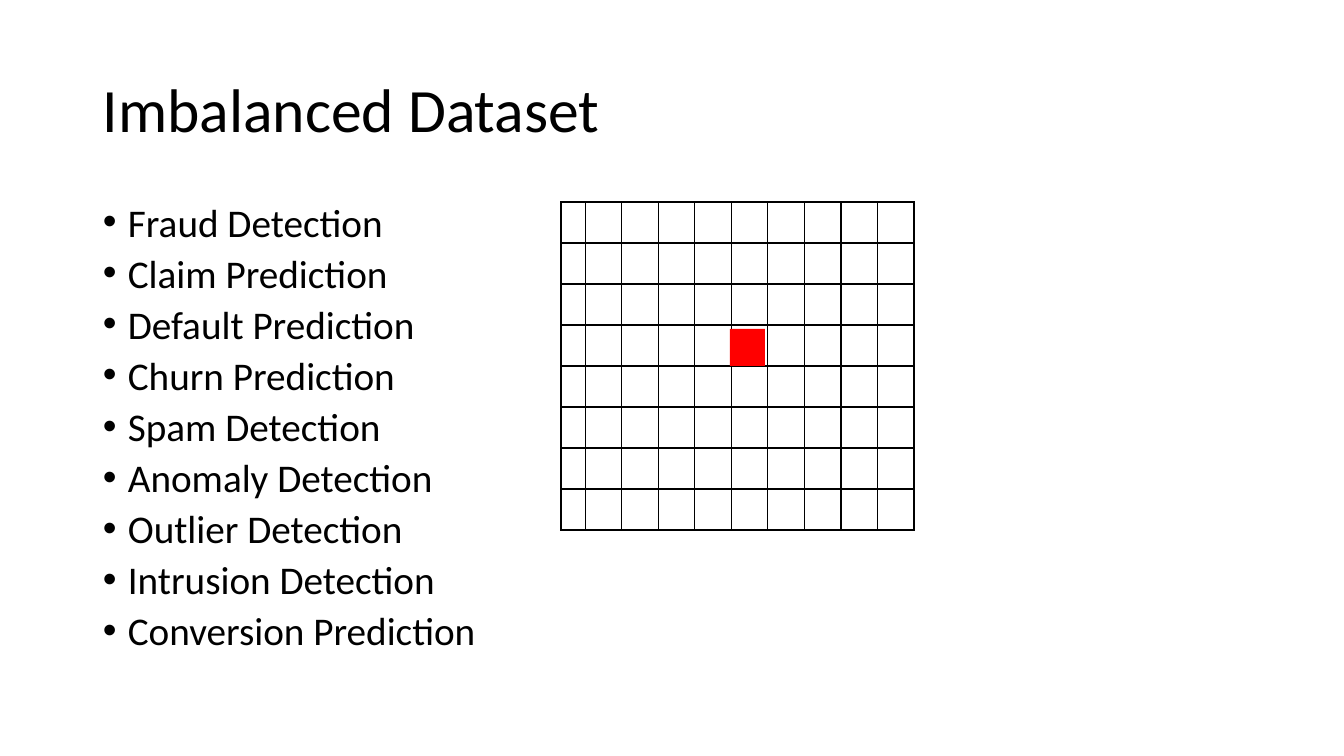
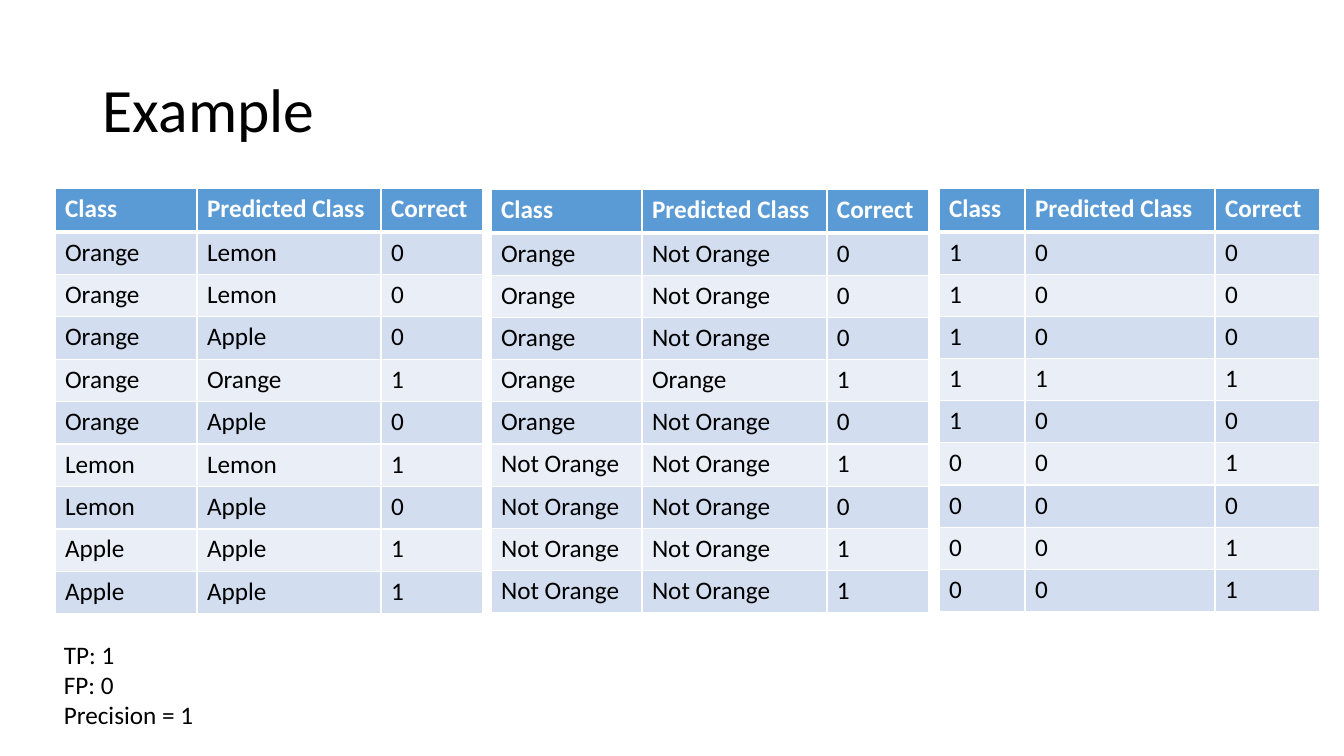
from lxml import etree
from pptx import Presentation
from pptx.dml.color import RGBColor
from pptx.enum.shapes import MSO_SHAPE
from pptx.enum.text import MSO_ANCHOR
from pptx.oxml.ns import qn
from pptx.util import Emu, Pt

SLIDE_W, SLIDE_H = 1344, 756
EMU_PER_PX = 12192000 / SLIDE_W

COLORS = {
    "text": "000000",
    "white": "FFFFFF",
    "header": "5B9BD5",
    "band_dark": "D2DEEF",
    "band_light": "EAEFF7",
    "rare": "FF0000",
}
FONT = "Calibri"

TASKS = [
    "Fraud Detection", "Claim Prediction", "Default Prediction",
    "Churn Prediction", "Spam Detection", "Anomaly Detection",
    "Outlier Detection", "Intrusion Detection", "Conversion Prediction",
]
HEADER = ("Class", "Predicted Class", "Correct")
FRUITS = [
    ("Orange", "Lemon", "0"),
    ("Orange", "Lemon", "0"),
    ("Orange", "Apple", "0"),
    ("Orange", "Orange", "1"),
    ("Orange", "Apple", "0"),
    ("Lemon", "Lemon", "1"),
    ("Lemon", "Apple", "0"),
    ("Apple", "Apple", "1"),
    ("Apple", "Apple", "1"),
]


def px(n):
    return Emu(round(n * EMU_PER_PX))


def rgb(name):
    return RGBColor.from_string(COLORS[name])


def one_vs_rest(rows, yes, no):
    """Relabel both class columns as orange (yes) or anything else (no)."""
    return [(*(yes if fruit == "Orange" else no for fruit in row[:2]), row[2])
            for row in rows]


class Deck:
    def __init__(self):
        self.prs = Presentation()
        self.prs.slide_width, self.prs.slide_height = px(SLIDE_W), px(SLIDE_H)
        self.s = None

    def slide(self, title):
        self.s = self.prs.slides.add_slide(self.prs.slide_layouts[6])
        tf = self.text([title], 93, 40, 1159, 146, size=44)
        tf.vertical_anchor = MSO_ANCHOR.MIDDLE
        tf.paragraphs[0].line_spacing = 0.9

    def style(self, tf, size, color="text", bold=False):
        for p in tf.paragraphs:
            for r in p.runs:
                r.font.name, r.font.size, r.font.bold = FONT, Pt(size), bold
                r.font.color.rgb = rgb(color)

    def text(self, lines, x, y, w, h, size=18):
        tf = self.s.shapes.add_textbox(px(x), px(y), px(w), px(h)).text_frame
        tf.word_wrap = True
        tf.text = "\n".join(lines)
        self.style(tf, size)
        return tf

    def bullets(self, lines, x, y, w, h, size=28, indent=25):
        tf = self.text(lines, x, y, w, h, size)
        for p in tf.paragraphs:
            p.line_spacing, p.space_before = 0.8, Pt(9.6)
            pPr = p._p.get_or_add_pPr()
            pPr.set("marL", str(px(indent)))
            pPr.set("indent", str(px(-indent)))
            etree.SubElement(pPr, qn("a:buFont"), typeface="Arial")
            etree.SubElement(pPr, qn("a:buChar"), char="•")

    def rect(self, x, y, w, h, color):
        sp = self.s.shapes.add_shape(MSO_SHAPE.RECTANGLE, px(x), px(y), px(w), px(h))
        sp.shadow.inherit = False
        sp.fill.solid()
        sp.fill.fore_color.rgb = rgb(color)
        sp.line.fill.background()

    def table(self, x, y, widths, heights):
        tbl = self.s.shapes.add_table(
            len(heights), len(widths), px(x), px(y),
            px(sum(widths)), px(sum(heights))).table
        tbl.first_row = tbl.horz_banding = False
        for col, w in zip(tbl.columns, widths):
            col.width = px(w)
        for row, h in zip(tbl.rows, heights):
            row.height = px(h)
        return tbl

    def borders(self, cell, color, top=1, bottom=1):
        tcPr = cell._tc.get_or_add_tcPr()
        for side, width in (("L", 1), ("R", 1), ("T", top), ("B", bottom)):
            ln = etree.SubElement(tcPr, qn(f"a:ln{side}"), w=str(Pt(width)))
            fill = etree.SubElement(ln, qn("a:solidFill"))
            etree.SubElement(fill, qn("a:srgbClr"), val=COLORS[color])

    def grid(self, x, y, widths, heights):
        for cell in self.table(x, y, widths, heights).iter_cells():
            self.borders(cell, "text")
            cell.fill.background()

    def data_table(self, x, y, h, widths, rows, header_h=44):
        row_h = (h - header_h) / len(rows)
        tbl = self.table(x, y, widths, [header_h] + [row_h] * len(rows))
        for i, values in enumerate([HEADER, *rows]):
            is_header = i == 0
            band = "header" if is_header else "band_dark" if i % 2 else "band_light"
            for j, value in enumerate(values):
                cell = tbl.cell(i, j)
                self.borders(cell, "white", top=3 if i == 1 else 1,
                             bottom=3 if is_header else 1)
                cell.fill.solid()
                cell.fill.fore_color.rgb = rgb(band)
                cell.text_frame.text = value
                self.style(cell.text_frame, 18,
                           "white" if is_header else "text", bold=is_header)


def imbalanced_slide(deck):
    deck.slide("Imbalanced Dataset")
    deck.bullets(TASKS, 93, 202, 1159, 480)
    first_w, grid_w = 24, 353
    deck.grid(561, 202, [first_w] + [(grid_w - first_w) / 9] * 9, [41] * 8)
    deck.rect(730, 329, 35, 37, "rare")


def example_slide(deck):
    deck.slide("Example")
    deck.data_table(55, 188, 426, (142, 184, 102), FRUITS)
    deck.data_table(491, 189, 424, (151, 185, 102),
                    one_vs_rest(FRUITS, "Orange", "Not Orange"))
    deck.data_table(939, 188, 424, (86, 190, 105), one_vs_rest(FRUITS, "1", "0"))
    deck.text(["TP: 1", "FP: 0", "Precision = 1"], 54, 634, 302, 132)


def main():
    deck = Deck()
    imbalanced_slide(deck)
    example_slide(deck)
    deck.prs.save("out.pptx")


if __name__ == "__main__":
    main()
